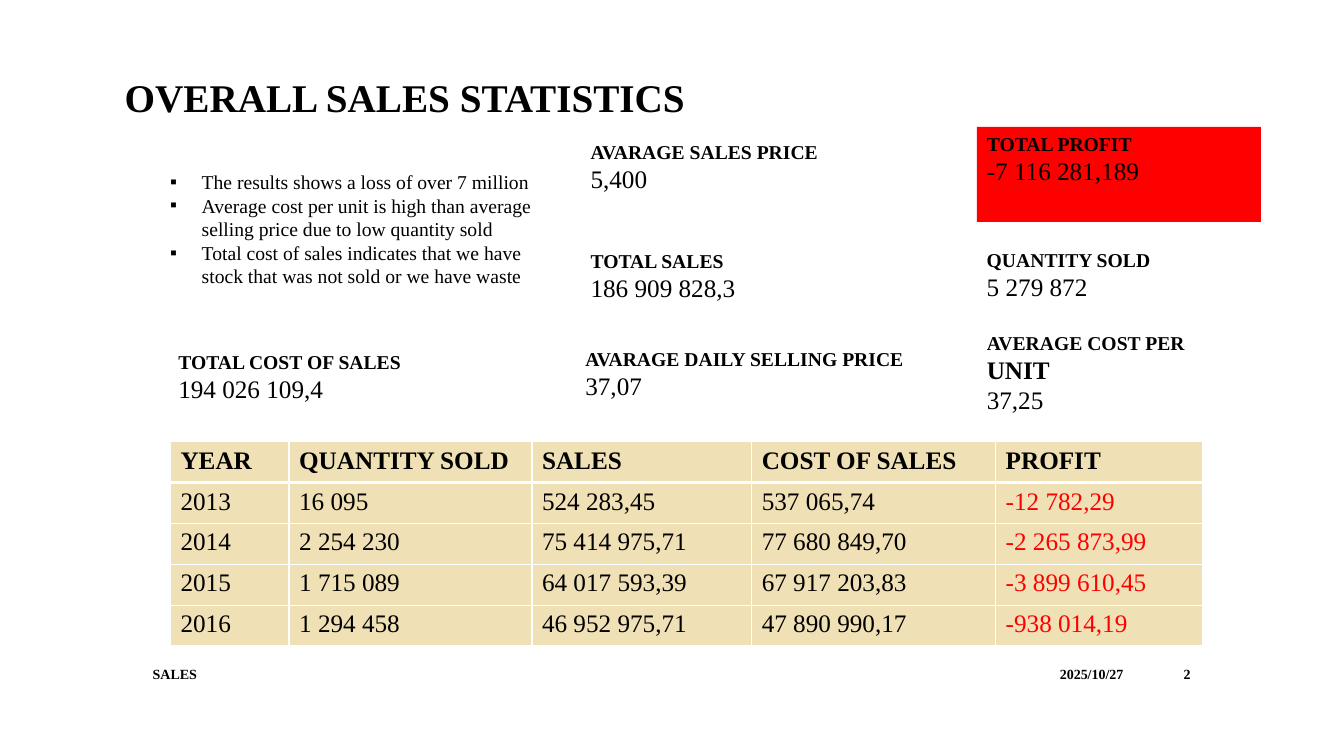
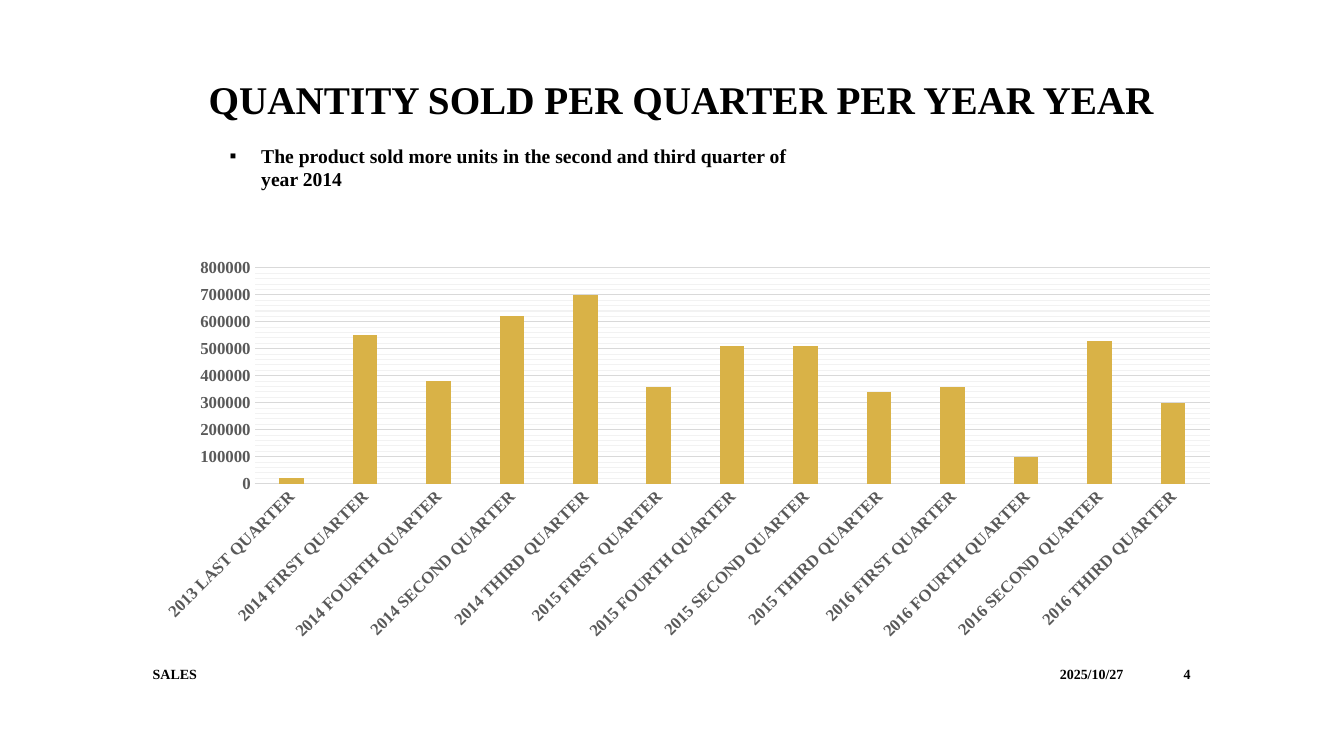
from lxml.etree import SubElement
from pptx import Presentation
from pptx.chart.data import CategoryChartData
from pptx.dml.color import RGBColor
from pptx.enum.chart import XL_CHART_TYPE, XL_TICK_MARK
from pptx.enum.shapes import MSO_SHAPE
from pptx.enum.text import MSO_ANCHOR, PP_ALIGN
from pptx.oxml.ns import qn
from pptx.util import Pt

FONT = "Times New Roman"
BLACK, WHITE, RED = "000000", "FFFFFF", "FF0000"
SAND, GOLD = "F0E0B5", "D9B247"
AXIS_TEXT, GRID, MINOR_GRID = "595959", "D9D9D9", "F2F2F2"
BULLET_INDENT = 22.5


def color(value):
    return RGBColor.from_string(value)


def points(*values):
    return [Pt(value) for value in values]


def set_font(font, size, bold=False, text_color=BLACK):
    font.name = FONT
    font.size = Pt(size)
    font.bold = bold
    font.color.rgb = color(text_color)


def set_line(line, line_color, width=0.75):
    line.color.rgb = color(line_color)
    line.width = Pt(width)


def add_line_element(parent, tag, line_color, width):
    line = SubElement(parent, qn(tag), w=str(Pt(width)))
    fill = SubElement(line, qn("a:solidFill"))
    SubElement(fill, qn("a:srgbClr"), val=line_color)


def add_run(paragraph, text, size, bold=False, text_color=BLACK):
    run = paragraph.add_run()
    run.text = text
    set_font(run.font, size, bold, text_color)


def fill_paragraphs(frame, paragraphs, align=PP_ALIGN.LEFT):
    """Each paragraph is a list of (text, size, bold) runs."""
    frame.word_wrap = True
    for index, runs in enumerate(paragraphs):
        paragraph = frame.add_paragraph() if index else frame.paragraphs[0]
        paragraph.alignment = align
        for run in runs:
            add_run(paragraph, *run)


def add_text(slide, box, paragraphs, align=PP_ALIGN.LEFT, anchor=MSO_ANCHOR.TOP):
    frame = slide.shapes.add_textbox(*points(*box)).text_frame
    frame.vertical_anchor = anchor
    fill_paragraphs(frame, paragraphs, align)
    return frame


def add_title(slide, box, text):
    add_text(slide, box, [[(text, 28, True)]])


def add_bullets(slide, box, items, bold=False):
    frame = add_text(slide, box, [[(item, 14, bold)] for item in items])
    for paragraph in frame.paragraphs:
        properties = paragraph._p.get_or_add_pPr()
        properties.set("marL", str(Pt(BULLET_INDENT)))
        properties.set("indent", str(-Pt(BULLET_INDENT)))
        SubElement(properties, qn("a:buFont"), typeface=FONT)
        SubElement(properties, qn("a:buChar"), char="▪")


def add_footer(slide, number):
    for left, width, text, align in [
        (683.5, 126, "2025/10/27", PP_ALIGN.RIGHT),
        (102, 575, "SALES", PP_ALIGN.LEFT),
        (815, 42.5, number, PP_ALIGN.RIGHT),
    ]:
        add_text(slide, (left, 470, width, 22.5), [[(text, 10, True)]],
                 align, MSO_ANCHOR.MIDDLE)


def add_card(slide, box, label, value, fill=WHITE):
    """A label, given as runs, over its figure."""
    card = slide.shapes.add_shape(MSO_SHAPE.RECTANGLE, *points(*box))
    card.shadow.inherit = False
    card.fill.solid()
    card.fill.fore_color.rgb = color(fill)
    card.line.fill.background()
    card.text_frame.vertical_anchor = MSO_ANCHOR.TOP
    fill_paragraphs(card.text_frame, [label, [(value, 18, False)]])


def add_borders(cell, **widths):
    """White borders; keys are side letters L, R, T and B, in that order."""
    properties = cell._tc.get_or_add_tcPr()
    for side, width in widths.items():
        add_line_element(properties, "a:ln" + side, WHITE, width)


def add_sales_table(slide, left, top, widths, row_height, rows):
    table = slide.shapes.add_table(
        len(rows), len(widths),
        *points(left, top, sum(widths), row_height * len(rows))).table
    table.horz_banding = False
    for column, width in zip(table.columns, widths):
        column.width = Pt(width)
    for row_index, values in enumerate(rows):
        table.rows[row_index].height = Pt(row_height)
        header = row_index == 0
        for column_index, value in enumerate(values):
            cell = table.cell(row_index, column_index)
            add_borders(cell, L=1, R=1, T=3 if row_index == 1 else 1,
                        B=3 if header else 1)
            cell.fill.solid()
            cell.fill.fore_color.rgb = color(SAND)
            text_color = RED if value.startswith("-") else BLACK
            add_run(cell.text_frame.paragraphs[0], value, 18, header, text_color)


def add_column_chart(slide, box, categories, values):
    data = CategoryChartData()
    data.categories = categories
    data.add_series("Series 1", values)
    chart = slide.shapes.add_chart(
        XL_CHART_TYPE.COLUMN_CLUSTERED, *points(*box), data).chart
    chart.has_title = False
    chart.has_legend = False
    set_font(chart.font, 10)

    # Columns
    plot = chart.plots[0]
    plot.gap_width = 199
    plot.vary_by_categories = False
    fill = plot.series[0].format.fill
    fill.solid()
    fill.fore_color.rgb = color(GOLD)

    # Axes
    category_axis, value_axis = chart.category_axis, chart.value_axis
    for axis in (category_axis, value_axis):
        axis.major_tick_mark = axis.minor_tick_mark = XL_TICK_MARK.NONE
        set_font(axis.tick_labels.font, 12, True, AXIS_TEXT)
    set_line(category_axis.format.line, GRID)
    label_body = category_axis._element.find(qn("c:txPr")).find(qn("a:bodyPr"))
    label_body.set("rot", str(-45 * 60000))
    label_body.set("vert", "horz")
    value_axis.format.line.fill.background()
    value_axis.minimum_scale, value_axis.maximum_scale = 0, 800000
    value_axis.major_unit, value_axis.minor_unit = 100000, 20000

    # Grid
    set_line(value_axis.major_gridlines.format.line, GRID)
    value_axis.has_minor_gridlines = True
    minor_gridlines = value_axis._element.find(qn("c:minorGridlines"))
    add_line_element(SubElement(minor_gridlines, qn("c:spPr")), "a:ln", MINOR_GRID, 0.75)


def build_statistics(slide):
    add_footer(slide, "2")

    # Key figures
    middle, right = 414.75, 697.75
    for box, label, value, fill in [
        ((middle, 96.5, 238.25, 46), "AVARAGE SALES PRICE", "5,400", WHITE),
        ((middle, 174.25, 258.5, 46), "TOTAL SALES", "186 909 828,3", WHITE),
        ((120.25, 246.25, 269.25, 67.75), "TOTAL COST OF SALES", "194 026 109,4", WHITE),
        ((411, 244, 265.75, 46), "AVARAGE DAILY SELLING PRICE", "37,07", WHITE),
        ((right, 90.75, 203, 67.75), "TOTAL PROFIT", "-7 116 281,189", RED),
        ((right, 173.5, 201.5, 46), "QUANTITY SOLD", "5 279 872", WHITE),
    ]:
        add_card(slide, box, [(label, 14, True)], value, fill)
    add_card(slide, (right, 232.5, 198, 67.75),
             [("AVERAGE COST PER ", 14, True), ("UNIT", 18, True)], "37,25")

    # Yearly results
    add_sales_table(slide, 121.75, 315.5, [84.75, 173.5, 157, 174.25, 147.5], 29.2, [
        ("YEAR", "QUANTITY SOLD", "SALES", "COST OF SALES", "PROFIT"),
        ("2013", "16 095", "524 283,45", "537 065,74", "-12 782,29"),
        ("2014", "2 254 230", "75 414 975,71", "77 680 849,70", "-2 265 873,99"),
        ("2015", "1 715 089", "64 017 593,39", "67 917 203,83", "-3 899 610,45"),
        ("2016", "1 294 458", "46 952 975,71", "47 890 990,17", "-938 014,19"),
    ])

    # Title and findings
    add_title(slide, (82, 49, 449.5, 41), "OVERALL SALES STATISTICS")
    add_bullets(slide, (114.5, 118, 275.75, 92), [
        "The results shows a loss of over 7 million",
        "Average cost per unit is high than average selling price due to low quantity sold",
        "Total cost of sales indicates that we have stock that was not sold or we have waste",
    ])


def build_quarters(slide):
    add_footer(slide, "4")
    quantities = {
        "2013 LAST QUARTER": 20000,
        "2014 FIRST QUARTER": 550000,
        "2014 FOURTH QUARTER": 380000,
        "2014 SECOND QUARTER": 620000,
        "2014 THIRD QUARTER": 700000,
        "2015 FIRST QUARTER": 360000,
        "2015 FOURTH QUARTER": 510000,
        "2015 SECOND QUARTER": 510000,
        "2015 THIRD QUARTER": 340000,
        "2016 FIRST QUARTER": 360000,
        "2016 FOURTH QUARTER": 100000,
        "2016 SECOND QUARTER": 530000,
        "2016 THIRD QUARTER": 300000,
    }
    add_column_chart(slide, (102.25, 179.25, 777.5, 283.75),
                     list(quantities), list(quantities.values()))
    add_title(slide, (142, 50.5, 698.5, 41), "QUANTITY SOLD PER QUARTER PER YEAR YEAR")
    add_bullets(slide, (157, 99.25, 431.25, 41), [
        "The product sold more units in the second and third quarter of year 2014",
    ], bold=True)


def main():
    presentation = Presentation()
    presentation.slide_width, presentation.slide_height = points(960, 540)
    blank = presentation.slide_layouts[6]
    for build in (build_statistics, build_quarters):
        build(presentation.slides.add_slide(blank))
    presentation.save("out.pptx")


if __name__ == "__main__":
    main()
